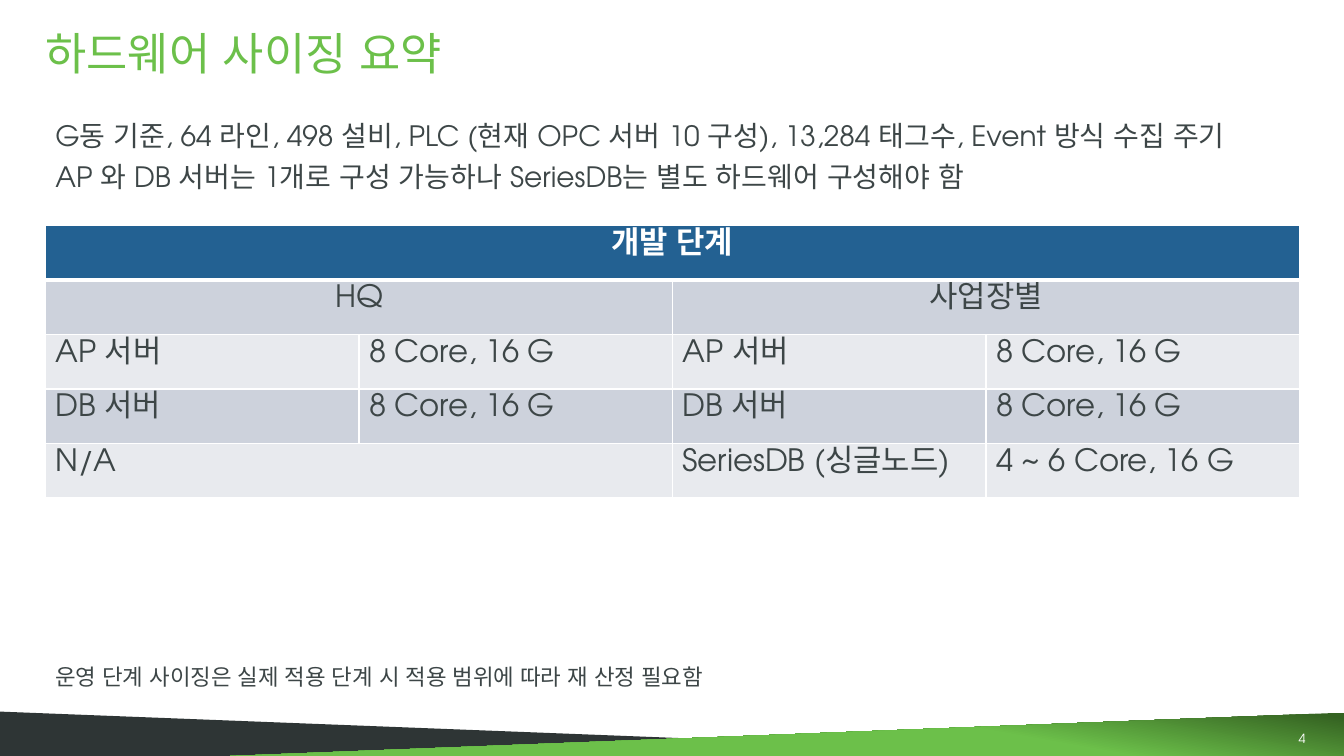
"""Build the hardware sizing summary slide."""
from lxml.etree import SubElement
from pptx import Presentation
from pptx.dml.color import RGBColor
from pptx.enum.shapes import MSO_SHAPE
from pptx.enum.text import MSO_ANCHOR, PP_ALIGN
from pptx.oxml.ns import qn
from pptx.util import Inches, Pt

FONT = "TeX Gyre Adventor"
GREEN = RGBColor(0x6C, 0xC0, 0x4A)
DARK_GREEN = RGBColor(0x35, 0x63, 0x22)
CHARCOAL = RGBColor(0x2E, 0x35, 0x35)
INK = RGBColor(0x3D, 0x46, 0x47)
WHITE = RGBColor(0xFF, 0xFF, 0xFF)
BLUE = RGBColor(0x23, 0x61, 0x92)
BAND_DARK = RGBColor(0xCD, 0xD2, 0xDC)
BAND_LIGHT = RGBColor(0xE8, 0xEA, 0xEE)


def style_text(frame, size, color, bold=False, align=None, spacing=None, before=None):
    for para in frame.paragraphs:
        para.alignment = align
        para.line_spacing = spacing
        para.space_before = before
        for span in para.runs:
            span.font.name = FONT
            span.font.size = Pt(size)
            span.font.bold = bold
            span.font.color.rgb = color
            SubElement(span.font._element, qn("a:ea"), typeface=FONT)


def add_text(text, left, top, width, height, inset=True):
    frame = page.shapes.add_textbox(
        Inches(left), Inches(top), Inches(width), Inches(height)).text_frame
    frame.text = text
    frame.word_wrap = True
    if not inset:
        frame.margin_left = frame.margin_right = 0
        frame.margin_top = frame.margin_bottom = 0
    return frame


deck = Presentation()
deck.slide_width, deck.slide_height = Inches(13.33), Inches(7.5)
page = deck.slides.add_slide(deck.slide_layouts[6])

wedges = []
for left, top in ((0, 7.06), (2.03, 7.07)):
    wedge = page.shapes.add_shape(
        MSO_SHAPE.RIGHT_TRIANGLE, Inches(left), Inches(top), Inches(11.3), Inches(0.44))
    wedge.shadow.inherit = False
    wedge.line.fill.background()
    wedges.append(wedge)
dark_wedge, green_wedge = wedges
dark_wedge.fill.solid()
dark_wedge.fill.fore_color.rgb = CHARCOAL
green_wedge.element.spPr.xfrm.set("flipH", "1")
green_wedge.fill.gradient()
green_wedge.fill.gradient_angle = 280
for stop, position, color in zip(
        green_wedge.fill.gradient_stops, (0.02, 0.33), (DARK_GREEN, GREEN)):
    stop.position = position
    stop.color.rgb = color

number = add_text("4", 12.3, 7.25, 0.65, 0.15, inset=False)
style_text(number, 9, WHITE, align=PP_ALIGN.RIGHT)

title = add_text("하드웨어 사이징 요약", 0.45, 0.38, 11.22, 0.38, inset=False)
title.vertical_anchor = MSO_ANCHOR.MIDDLE
style_text(title, 32, GREEN, spacing=0.8)

ROWS = [
    ["개발 단계", None, None, None],
    ["HQ", None, "사업장별", None],
    ["AP 서버", "8 Core, 16 G", "AP 서버", "8 Core, 16 G"],
    ["DB 서버", "8 Core, 16 G", "DB 서버", "8 Core, 16 G"],
    ["N/A", None, "SeriesDB (싱글노드)", "4 ~ 6 Core, 16 G"],
]
MERGES = [(0, 0, 3), (1, 0, 1), (1, 2, 3), (4, 0, 1)]
FILLS = [BLUE, BAND_DARK, BAND_LIGHT, BAND_DARK, BAND_LIGHT]

table = page.shapes.add_table(
    5, 4, Inches(0.45), Inches(2.24), Inches(12.44), Inches(2.7)).table
for row, first, last in MERGES:
    table.cell(row, first).merge(table.cell(row, last))
for row, texts in enumerate(ROWS):
    for column, text in enumerate(texts):
        cell = table.cell(row, column)
        for side in ("L", "R", "T", "B"):
            heavy = (row, side) in ((0, "B"), (1, "T"))
            border = SubElement(cell._tc.get_or_add_tcPr(), qn(f"a:ln{side}"),
                                w=str(Pt(3 if heavy else 1)))
            paint = SubElement(border, qn("a:solidFill"))
            SubElement(paint, qn("a:srgbClr"), val=str(WHITE))
        cell.fill.solid()
        cell.fill.fore_color.rgb = FILLS[row]
        if text:
            cell.text_frame.text = text
            style_text(cell.text_frame, 22, INK if row else WHITE, bold=row == 0,
                       align=PP_ALIGN.CENTER if row < 2 else PP_ALIGN.LEFT)

note = add_text("운영 단계 사이징은 실제 적용 단계 시 적용 범위에 따라 재 산정 필요함",
                0.45, 6.56, 10.29, 0.33)
style_text(note, 16, INK, spacing=0.9, before=Pt(8))

intro = add_text(
    "G동 기준, 64 라인, 498 설비, PLC (현재 OPC 서버 10 구성), 13,284 태그수, "
    "Event 방식 수집 주기\n"
    "AP 와 DB 서버는 1개로 구성 가능하나 SeriesDB는 별도 하드웨어 구성해야 함",
    0.45, 1.16, 12.88, 1)
intro.margin_right = 0
style_text(intro, 20, INK, spacing=0.9, before=Pt(8))

deck.save("out.pptx")
